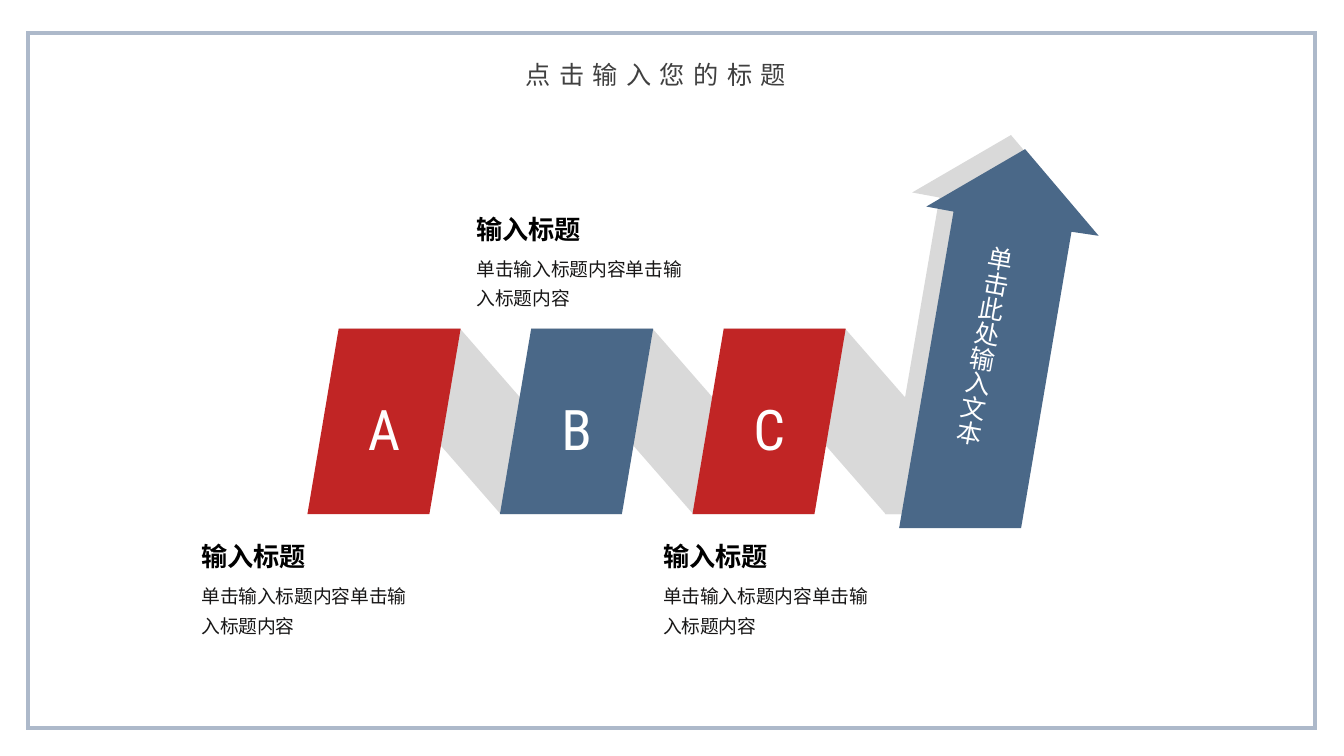
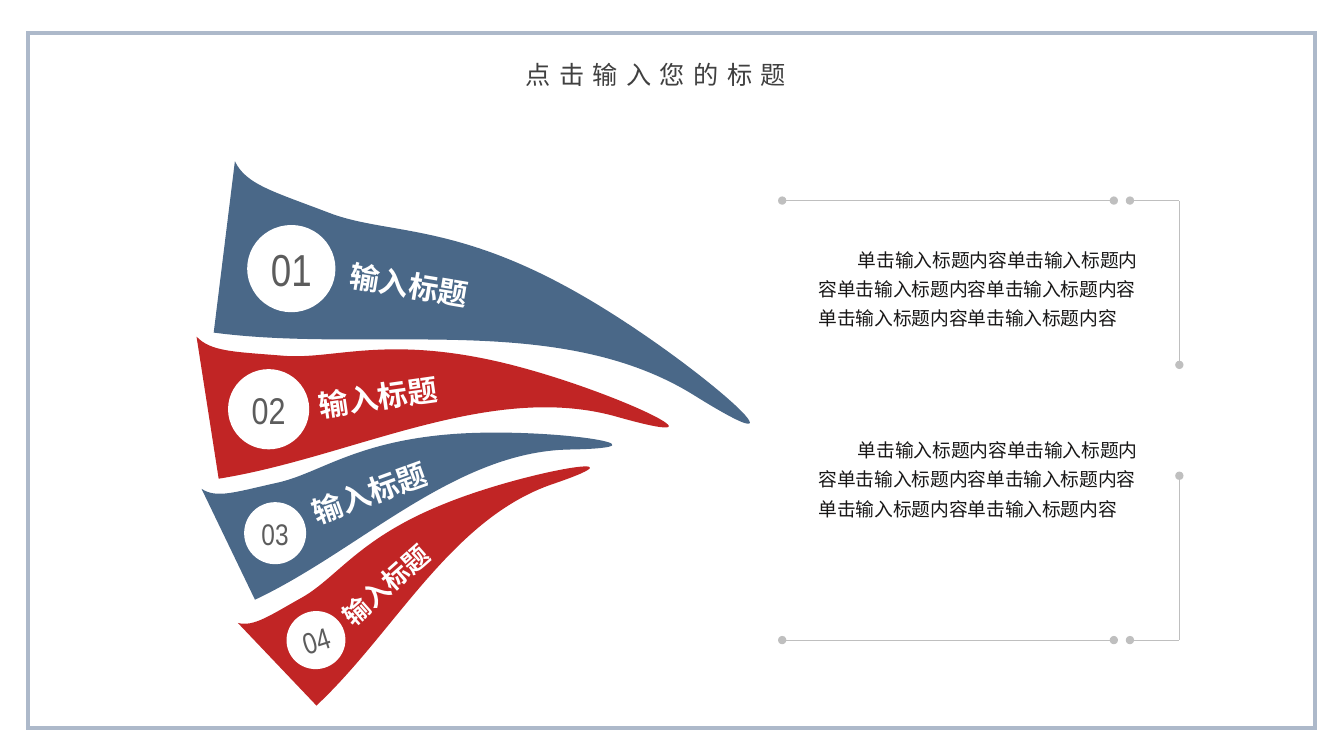
from math import cos, radians, sin

from lxml.etree import SubElement
from pptx import Presentation
from pptx.dml.color import RGBColor
from pptx.enum.shapes import MSO_CONNECTOR, MSO_SHAPE
from pptx.enum.text import MSO_ANCHOR, MSO_AUTO_SIZE, PP_ALIGN
from pptx.oxml.ns import qn
from pptx.util import Emu, Pt

EMU_PER_PX = 9144  # 100 px to the inch
SLIDE_SIZE = (4000 / 3, 750)

BLUE, RED, WHITE, BLACK = "4A6888", "C12525", "FFFFFF", "000000"
SHADE, RULE, FRAME = "D9D9D9", "BFBFBF", "ADB9CA"
TITLE_INK, BODY_INK, NUMBER_INK = "404040", "181717", "5C5C5C"
CJK = "Noto Sans CJK SC"
BODY_SIZE, HEADING_SIZE = 13.33, 18.67

TITLE = "点击输入您的标题"
HEADING = "输入标题"
SENTENCE = "单击输入标题内容"


def px(length):
    return Emu(round(length * EMU_PER_PX))


def color(hex_string):
    return RGBColor.from_string(hex_string)


def paint(shape, fill=None, line=None, weight=0):
    shape.shadow.inherit = False
    if fill:
        shape.fill.solid()
        shape.fill.fore_color.rgb = color(fill)
    else:
        shape.fill.background()
    if line:
        shape.line.color.rgb = color(line)
        shape.line.width = Pt(weight)
    else:
        shape.line.fill.background()


def write(shape, text, size, ink, font=CJK, bold=False, align=PP_ALIGN.LEFT,
          anchor=MSO_ANCHOR.TOP, inset=(0, 0), spacing=None, around=None,
          indent=0, tracking=0, grow=False, wrap=True):
    frame = shape.text_frame
    frame.text = text
    frame.word_wrap = wrap
    frame.vertical_anchor = anchor
    frame.margin_left = frame.margin_right = px(inset[0])
    frame.margin_top = frame.margin_bottom = px(inset[1])
    if grow:
        frame.auto_size = MSO_AUTO_SIZE.SHAPE_TO_FIT_TEXT
    paragraph = frame.paragraphs[0]
    paragraph.alignment = align
    if spacing:
        paragraph.line_spacing = spacing
    if around:
        paragraph.space_before = paragraph.space_after = Pt(around)
    if indent:
        paragraph._p.get_or_add_pPr().set("indent", str(px(indent)))
    run = paragraph.runs[0]
    run.font.size = Pt(size)
    run.font.bold = bold
    run.font.color.rgb = color(ink)
    run.font.name = font
    properties = run._r.get_or_add_rPr()
    SubElement(properties, qn("a:ea")).set("typeface", CJK)
    if tracking:
        properties.set("spc", str(tracking * 100))


def add_preset(slide, preset, box, fill=None, line=None, weight=0):
    shape = slide.shapes.add_shape(preset, *map(px, box))
    paint(shape, fill, line, weight)
    return shape


def add_text(slide, box, text, size, ink, rotation=0, **style):
    label = slide.shapes.add_textbox(*map(px, box))
    label.rotation = rotation
    write(label, text, size, ink, **style)
    return label


def add_outline(slide, left, top, points, fill):
    corners = [(px(left + x), px(top + y)) for x, y in points]
    builder = slide.shapes.build_freeform(*corners[0], scale=1.0)
    builder.add_line_segments(corners[1:], close=True)
    outline = builder.convert_to_shape()
    paint(outline, fill)
    return outline


def add_rule(slide, start, end, dots):
    """Thin line with round ends; dots lists headEnd and/or tailEnd."""
    rule = slide.shapes.add_connector(
        MSO_CONNECTOR.STRAIGHT, *map(px, start + end))
    rule.line.color.rgb = color(RULE)
    rule.line.width = Pt(0.5)
    for dot in dots:
        SubElement(rule.line._get_or_add_ln(), qn(f"a:{dot}")).set("type", "oval")
    SubElement(rule._element.spPr, qn("a:effectLst"))


def add_framed_slide(deck):
    slide = deck.slides.add_slide(deck.slide_layouts[6])
    border = add_preset(slide, MSO_SHAPE.RECTANGLE, (28, 33, 1277, 689),
                        line=FRAME, weight=3)
    SubElement(border.line._get_or_add_ln(), qn("a:miter")).set("lim", "800000")
    add_text(slide, (446, 59, 409, 30), TITLE, 18, TITLE_INK, font="Arial",
             align=PP_ALIGN.CENTER, anchor=MSO_ANCHOR.MIDDLE, tracking=6,
             grow=True)
    return slide


# Zigzag ribbon that ends in an arrow
ARROW = [(125, 0), (198, 86), (171, 82), (121, 376), (0, 376), (54, 62), (27, 57)]
PANELS = [("A", RED), ("B", BLUE), ("C", RED)]
PANEL_STEP = 191
CAPTIONS = [(190, 531, 569), (463, 207, 244), (648, 531, 569)]


def add_arrow(slide, left, top):
    depth = 14
    add_outline(slide, left - depth, top - depth, ARROW, SHADE)
    add_outline(slide, left, top, ARROW, BLUE)
    label = add_text(slide, (left + 55, top + 85, 50, 212), "单击此处输入文本",
                     18, WHITE, rotation=10.2, inset=(10, 5), grow=True,
                     wrap=False)
    label.text_frame._txBody.bodyPr.set("vert", "eaVert")


def add_folds(slide, left, top, height):
    for index in range(len(PANELS)):
        fold = add_preset(slide, MSO_SHAPE.PARALLELOGRAM,
                          (left + 31 + index * PANEL_STEP, top, 281, height), SHADE)
        fold.adjustments[0] = 0.873
        fold._element.spPr.xfrm.set("flipH", "1")


def add_panels(slide, left, top, height):
    for index, (letter, fill) in enumerate(PANELS):
        panel = add_preset(slide, MSO_SHAPE.PARALLELOGRAM,
                           (left + index * PANEL_STEP, top, 152, height), fill)
        panel.adjustments[0] = 0.204
        write(panel, letter, 40, WHITE, font="Roboto Condensed",
              align=PP_ALIGN.CENTER, anchor=MSO_ANCHOR.MIDDLE, inset=(0, 5),
              spacing=1.2, around=6)


def add_caption(slide, left, heading_top, body_top):
    add_text(slide, (left, body_top, 224, 66), SENTENCE * 2, BODY_SIZE, BODY_INK,
             inset=(10, 5), spacing=1.3, grow=True)
    add_text(slide, (left, heading_top, 212, 42), HEADING, HEADING_SIZE, BLACK,
             bold=True, align=PP_ALIGN.JUSTIFY, inset=(10, 5), grow=True)


def build_ribbon_slide(deck):
    slide = add_framed_slide(deck)
    ribbon = (305, 326, 184)
    add_folds(slide, *ribbon)
    add_arrow(slide, 892, 148)
    add_panels(slide, *ribbon)
    for caption in CAPTIONS:
        add_caption(slide, *caption)


# Fan of feathers: base edge, then curves of (control, control, end)
FEATHERS = [
    dict(number="01", fill=BLUE, box=(24, 34, 540, 192), turn=7.5,
         base=[(17, 170), (38, 0)],
         curves=[[(49, 23), (76, 30), (131, 51)],
                 [(185, 72), (250, 61), (366, 124)],
                 [(483, 187), (630, 317), (495, 233)],
                 [(360, 148), (176, 191), (17, 170)]],
         badge=(53, 66, 82, 81), number_size=32, badge_turn=0,
         label=(151, 98, 246, 66), label_size=21.33, label_turn=9.4),
    dict(number="02", fill=RED, box=(9, 138, 450, 160), turn=351.3,
         base=[(22, 315), (0, 174)],
         curves=[[(14, 189), (37, 189), (86, 193)],
                 [(134, 197), (183, 174), (291, 197)],
                 [(399, 220), (547, 290), (419, 254)],
                 [(292, 217), (154, 294), (22, 315)]],
         badge=(34, 209, 75, 74), number_size=26.67, badge_turn=0,
         label=(120, 191, 202, 70), label_size=21.33, label_turn=351.8),
    dict(number="03", fill=BLUE, box=(15, 235, 387, 137), turn=334.4,
         base=[(58, 435), (5, 325)],
         curves=[[(20, 335), (39, 328), (80, 319)],
                 [(121, 310), (156, 279), (250, 271)],
                 [(344, 263), (484, 284), (370, 286)],
                 [(256, 288), (162, 386), (58, 435)]],
         badge=(50, 341, 56, 56), number_size=21.33, badge_turn=0,
         label=(109, 277, 206, 70), label_size=21.33, label_turn=340),
    dict(number="04", fill=RED, box=(36, 317, 360, 128), turn=316.7,
         base=[(119, 540), (41, 458)],
         curves=[[(57, 462), (72, 451), (106, 432)],
                 [(140, 412), (162, 374), (243, 341)],
                 [(325, 307), (454, 286), (354, 320)],
                 [(253, 354), (197, 467), (119, 540)]],
         badge=(92, 449, 53, 52), number_size=21.33, badge_turn=342.3,
         label=(127, 368, 170, 58), label_size=HEADING_SIZE, label_turn=318.5),
]


def add_plume(slide, left, top, feather):
    """Curved outline, drawn upright in its box and then turned."""
    x, y, width, height = feather["box"]
    corners = [(0, 0), (width, 0), (width, height), (0, height)]
    plume = add_outline(slide, left + x, top + y, corners, feather["fill"])
    plume.rotation = feather["turn"]
    angle = radians(feather["turn"])
    route = plume._element.spPr.find(".//" + qn("a:path"))
    for segment in list(route):
        route.remove(segment)

    def draw(kind, points):
        segment = SubElement(route, qn(f"a:{kind}"))
        for point_x, point_y in points:
            dx, dy = point_x - x - width / 2, point_y - y - height / 2
            knot = SubElement(segment, qn("a:pt"))
            knot.set("x", str(px(dx * cos(angle) + dy * sin(angle) + width / 2)))
            knot.set("y", str(px(dy * cos(angle) - dx * sin(angle) + height / 2)))

    start, tip = feather["base"]
    draw("moveTo", [start])
    draw("lnTo", [tip])
    for curve in feather["curves"]:
        draw("cubicBezTo", curve)
    draw("close", [])


def add_feather(slide, left, top, feather):
    def place(box):
        return (left + box[0], top + box[1], *box[2:])

    add_plume(slide, left, top, feather)
    badge = add_preset(slide, MSO_SHAPE.OVAL, place(feather["badge"]),
                       WHITE, WHITE, 4)
    badge.rotation = feather["badge_turn"]
    write(badge, feather["number"], feather["number_size"], NUMBER_INK,
          font="Arial Narrow", align=PP_ALIGN.CENTER, anchor=MSO_ANCHOR.MIDDLE)
    add_text(slide, place(feather["label"]), HEADING, feather["label_size"], WHITE,
             rotation=feather["label_turn"], bold=True, align=PP_ALIGN.JUSTIFY,
             anchor=MSO_ANCHOR.MIDDLE, spacing=1.1)


def add_bracket(slide, left, top, width, height):
    """Dotted rules along the top, bottom and right of the box."""
    right, bottom, drop = left + width, top + height, 163
    for y, free_end in [(top, top + drop), (bottom, bottom - drop)]:
        add_rule(slide, (left, y), (right - 65, y), ["headEnd", "tailEnd"])
        add_rule(slide, (right - 49, y), (right, y), ["headEnd"])
        add_rule(slide, (right, free_end), (right, y), ["headEnd"])


def build_fan_slide(deck):
    slide = add_framed_slide(deck)
    for feather in FEATHERS:
        add_feather(slide, 195, 160, feather)
    add_bracket(slide, 776, 199, 394, 436)
    for top in (235, 424):
        add_text(slide, (800, top, 345, 182), SENTENCE * 6, BODY_SIZE, BODY_INK,
                 inset=(12, 5), spacing=1.3, indent=39)


def main():
    deck = Presentation()
    deck.slide_width, deck.slide_height = map(px, SLIDE_SIZE)
    build_ribbon_slide(deck)
    build_fan_slide(deck)
    deck.save("out.pptx")


if __name__ == "__main__":
    main()
